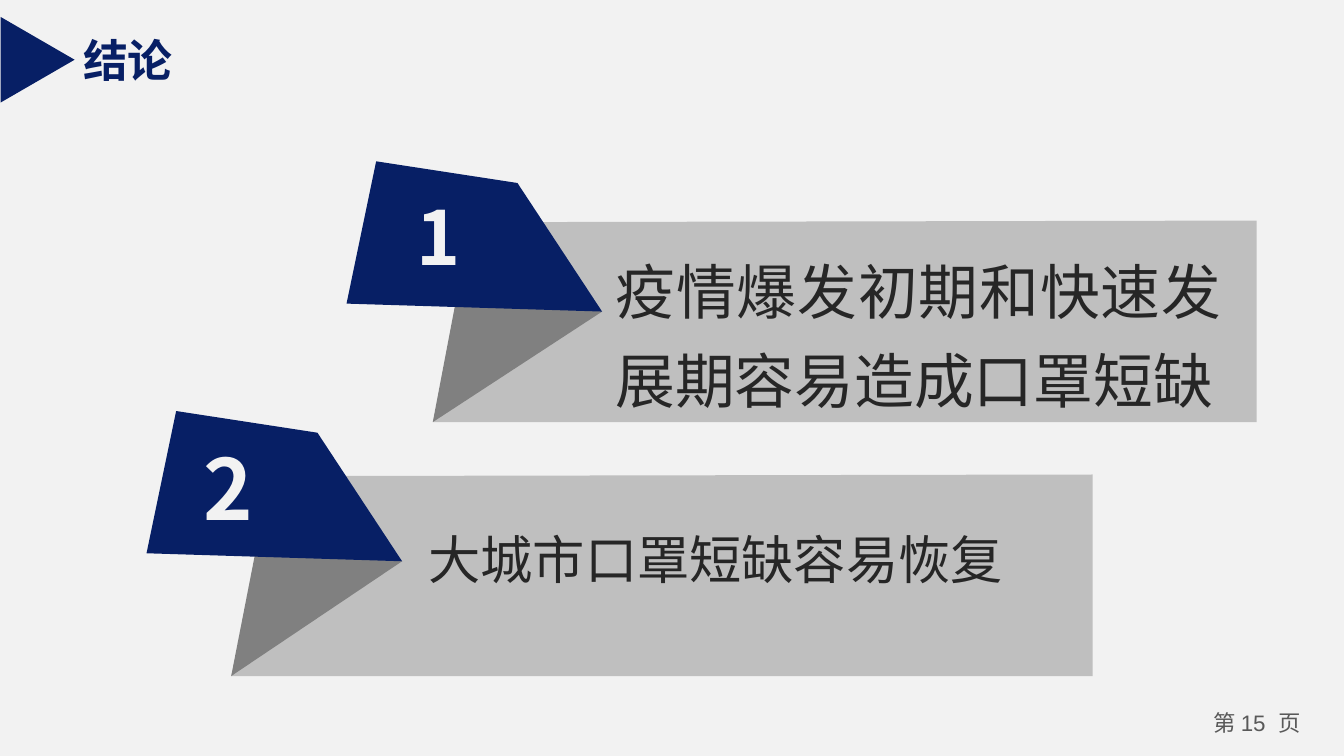
"""Build the conclusion slide with two numbered ribbons."""
from dataclasses import dataclass

from lxml import etree
from pptx import Presentation
from pptx.dml.color import RGBColor
from pptx.enum.shapes import MSO_SHAPE
from pptx.enum.text import MSO_AUTO_SIZE, PP_ALIGN
from pptx.oxml.ns import qn
from pptx.shapes.autoshape import Shape
from pptx.util import Cm, Pt

TRIANGLE = MSO_SHAPE.ISOSCELES_TRIANGLE
NO_FIT = MSO_AUTO_SIZE.NONE
LEFT, CENTER, JUSTIFY = PP_ALIGN.LEFT, PP_ALIGN.CENTER, PP_ALIGN.JUSTIFY

NAVY = RGBColor(0x07, 0x1F, 0x65)
PALE = RGBColor(0xF2, 0xF2, 0xF2)
SILVER = RGBColor(0xBF, 0xBF, 0xBF)
GRAY = RGBColor(0x80, 0x80, 0x80)
INK = RGBColor(0x26, 0x26, 0x26)
SLATE = RGBColor(0x59, 0x59, 0x59)
HAN = "Noto Sans CJK SC"
LATIN = "Arial"

Point = tuple[float, float]
TAG = [(0.56, 0), (3.23, 0.41), (4.83, 2.84), (0, 2.69)]
FOLD = (2.17, 2.1)


@dataclass
class Label:
    text: str
    box: tuple[float, float, float, float]
    size: int
    color: RGBColor
    font: str = HAN
    bold: bool = False
    align: PP_ALIGN = LEFT
    pad: Point = (0.18, 0.1)
    space: float = 1.0
    wrap: bool = False


@dataclass
class Ribbon:
    tag: Point
    foot: Point
    right: float
    body: Label
    number: Label


PAD = (0.25, 0.13)
TITLE = Label("结论", (1.32, 0.48, 2.24, 1.27), 24, NAVY, LATIN, True, pad=PAD)
PAGE = Label("第 15  页", (22.61, 13.31, 2.29, 0.76), 12, SLATE, LATIN,
             align=CENTER, wrap=True)
RIBBONS = [
    Ribbon((6.55, 3.05), (8.18, 7.98), 23.75,
           Label("疫情爆发初期和快速发展期容易造成口罩短缺",
                 (11.38, 4.34, 11.96, 3.53), 32, INK, align=JUSTIFY,
                 pad=PAD, space=1.25, wrap=True),
           Label("1", (7.7, 3.51, 1.27, 1.91), 40, PALE, bold=True)),
    Ribbon((2.77, 7.77), (4.37, 12.78), 20.65,
           Label("大城市口罩短缺容易恢复", (7.85, 9.55, 12.24, 1.63), 28, INK,
                 pad=PAD, space=1.25, wrap=True),
           Label("2", (3.66, 8.15, 1.37, 2.11), 45, PALE, bold=True)),
]


def paint(shape: Shape, color: RGBColor) -> None:
    shape.shadow.inherit = False
    shape.fill.solid()
    shape.fill.fore_color.rgb = color
    shape.line.fill.background()


def outline(shapes, points: list[Point], color: RGBColor) -> None:
    first, *rest = [(Cm(x), Cm(y)) for x, y in points]
    pen = shapes.build_freeform(*first)
    pen.add_line_segments(rest, close=True)
    paint(pen.convert_to_shape(), color)


def write(shapes, label: Label) -> None:
    frame = shapes.add_textbox(*map(Cm, label.box)).text_frame
    frame.word_wrap = label.wrap
    frame.auto_size = NO_FIT
    frame.margin_left = frame.margin_right = Cm(label.pad[0])
    frame.margin_top = frame.margin_bottom = Cm(label.pad[1])
    line = frame.paragraphs[0]
    line.text = label.text
    line.alignment = label.align
    line.line_spacing = label.space
    font = line.font
    font.size = Pt(label.size)
    font.bold = label.bold
    font.color.rgb = label.color
    font.name = label.font
    etree.SubElement(font._rPr, qn("a:ea"), typeface=HAN)


def draw(shapes, ribbon: Ribbon) -> None:
    group = shapes.add_group_shape().shapes
    left, top = ribbon.tag
    x, y = ribbon.foot
    tag = [(left + dx, top + dy) for dx, dy in TAG]
    fold = (left + FOLD[0], top + FOLD[1])
    bar = [(x + 1.22, y - 3.78), (ribbon.right, y - 3.81),
           (ribbon.right, y), (x, y)]
    outline(group, bar, SILVER)
    outline(group, [fold, tag[2], (x, y)], GRAY)
    outline(group, tag, NAVY)
    write(group, ribbon.body)
    write(shapes, ribbon.number)


def main() -> None:
    deck = Presentation()
    deck.slide_width, deck.slide_height = Cm(25.4), Cm(14.29)
    slide = deck.slides.add_slide(deck.slide_layouts[6])
    slide.background.fill.solid()
    slide.background.fill.fore_color.rgb = PALE
    shapes = slide.shapes
    write(shapes, PAGE)
    for ribbon in RIBBONS:
        draw(shapes, ribbon)
    write(shapes, TITLE)
    arrow = shapes.add_shape(TRIANGLE, Cm(-0.1), Cm(0.43), Cm(1.62), Cm(1.4))
    arrow.rotation = 90
    paint(arrow, NAVY)
    deck.save("out.pptx")


if __name__ == "__main__":
    main()
